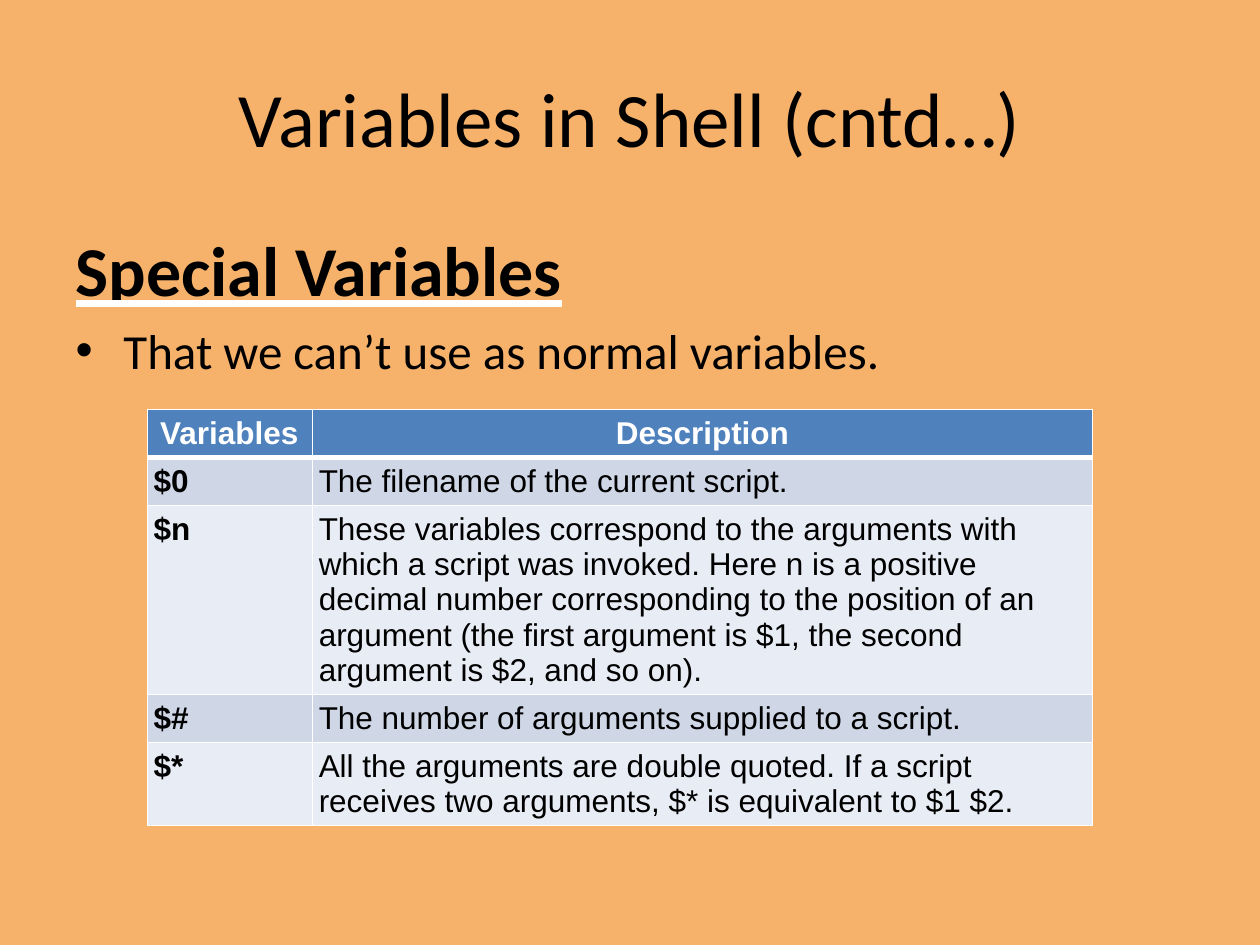
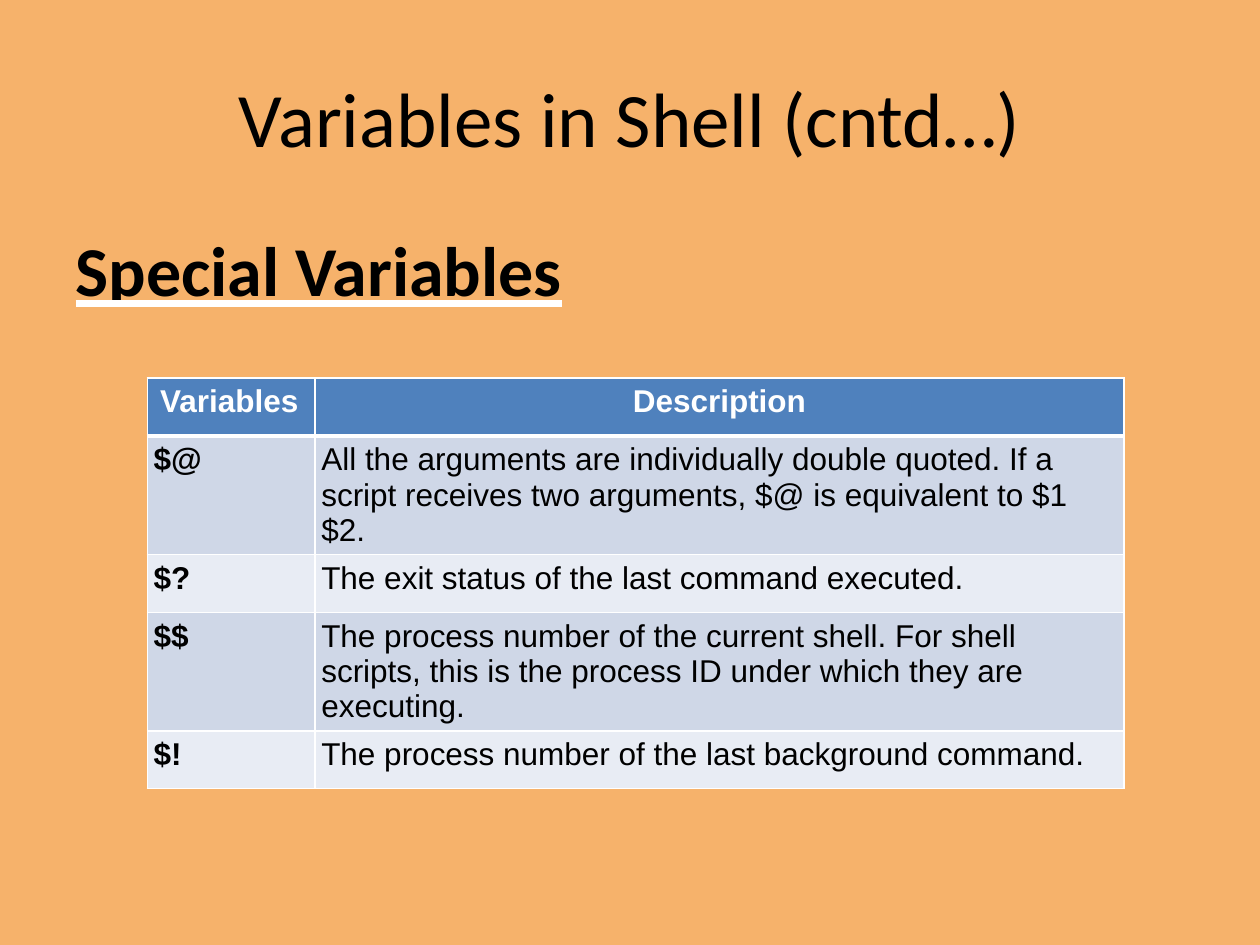
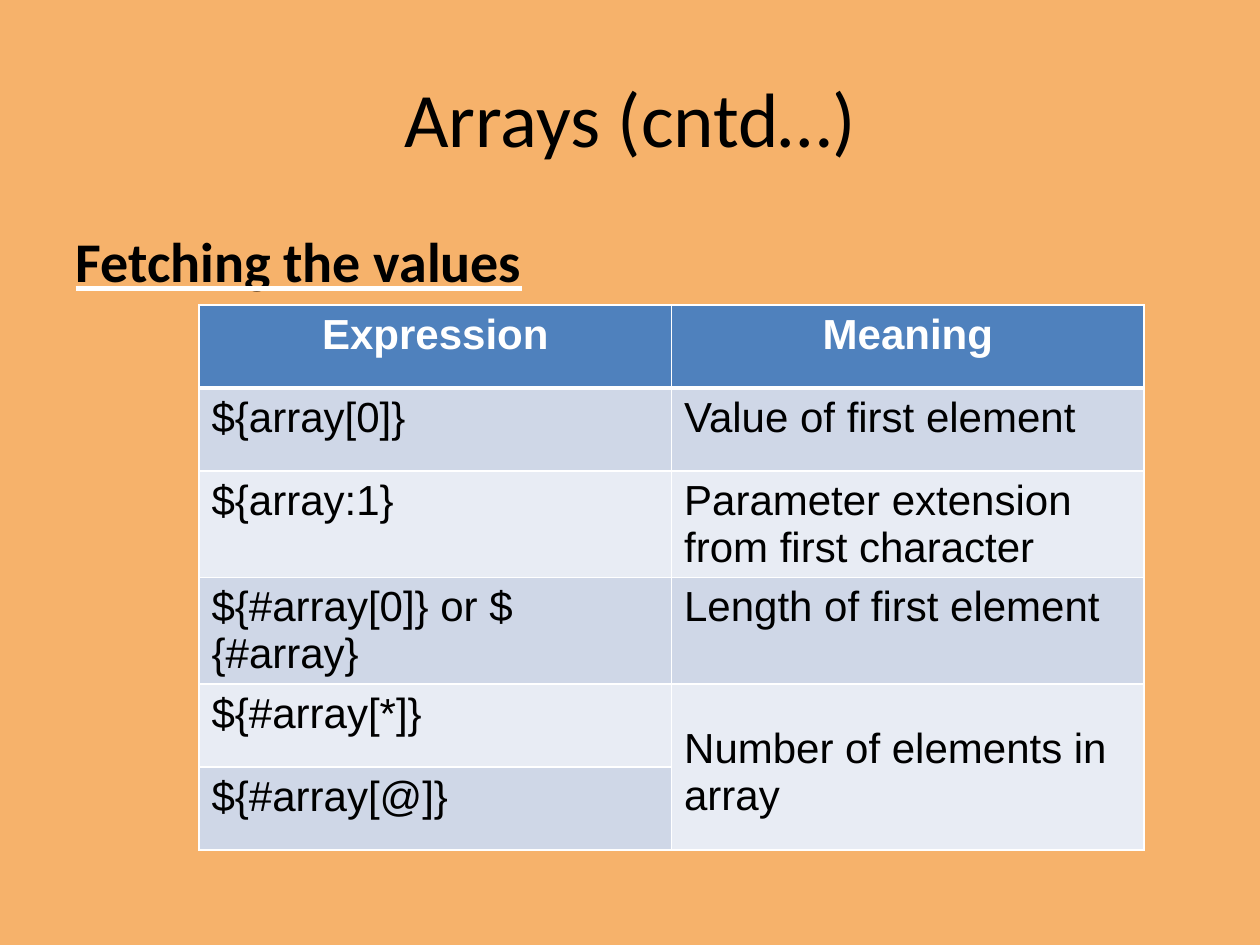
"""Build three slides on shell variables and arrays, each with a table."""
from dataclasses import dataclass

from lxml.etree import SubElement
from pptx import Presentation
from pptx.dml.color import RGBColor
from pptx.enum.text import MSO_ANCHOR as Anchor, MSO_AUTO_SIZE as AutoSize, PP_ALIGN as Align
from pptx.oxml import parse_xml
from pptx.oxml.ns import nsdecls, qn
from pptx.util import Inches, Pt

BACKGROUND = "F6B26B"
HEADER_FILL = "4F81BD"
BAND_FILLS = ("CFD7E7", "E8ECF4")
INK = "000000"
WHITE = "FFFFFF"
THIN, THICK = 0.96, 3
TITLE_AREA = (0.5, 0.3, 9, 1.25)
BODY_AREA = (0.5, 1.75, 9, 4.95)
TEXT_INDENT = 0.38


@dataclass(frozen=True)
class TableSpec:
    left: float
    top: float
    columns: tuple[float, ...]
    heights: tuple[float, ...]
    rows: tuple[tuple[str, ...], ...]
    size: float = 18
    inset: float | None = 0.05
    bold_keys: bool = True
    centred_headers: tuple[bool, ...] = (False, True)
    merged_rows: tuple[int, int] | None = None


@dataclass(frozen=True)
class SlideSpec:
    title: str
    heading: str
    table: TableSpec
    heading_size: float = 40
    bullets: tuple[str, ...] = ()


HEADERS = ("Variables", "Description")
SLIDES = (
    SlideSpec(
        "Variables in Shell (cntd…)", "Special Variables",
        TableSpec(1.17, 3.25, (1.31, 6.19), (0.38, 0.38, 1.49, 0.38, 0.66), (
            HEADERS,
            ("$0", "The filename of the current script."),
            ("$n", "These variables correspond to the arguments with which a script was "
                   "invoked. Here n is a positive decimal number corresponding to the "
                   "position of an argument (the first argument is $1, the second "
                   "argument is $2, and so on)."),
            ("$#", "The number of arguments supplied to a script."),
            ("$*", "All the arguments are double quoted. If a script receives two "
                   "arguments, $* is equivalent to $1 $2."),
        )),
        bullets=("That we can’t use as normal variables.",),
    ),
    SlideSpec(
        "Variables in Shell (cntd…)", "Special Variables",
        TableSpec(1.17, 3, (1.33, 6.42), (0.46, 0.93, 0.46, 0.93, 0.46), (
            HEADERS,
            ("$@", "All the arguments are individually double quoted. If a script "
                   "receives two arguments, $@ is equivalent to $1 $2."),
            ("$?", "The exit status of the last command executed."),
            ("$$", "The process number of the current shell. For shell scripts, this is "
                   "the process ID under which they are executing."),
            ("$!", "The process number of the last background command."),
        )),
    ),
    SlideSpec(
        "Arrays (cntd…)", "Fetching the values",
        TableSpec(1.58, 2.42, (3.75, 3.75), (0.66, 0.66, 0.84, 0.84, 0.66, 0.66), (
            ("Expression", "Meaning"),
            ("${array[0]}", "Value of first element"),
            ("${array:1}", "Parameter extension from first character"),
            ("${#array[0]} or ${#array}", "Length of first element"),
            ("${#array[*]}", "Number of elements in array"),
            ("${#array[@]}", ""),
        ), size=24, inset=None, bold_keys=False, centred_headers=(True, True),
            merged_rows=(4, 5)),
        heading_size=32,
    ),
)


def colour(value: str) -> RGBColor:
    """Turn a hex string into a colour."""
    return RGBColor.from_string(value)


def write(para, text: str, *, size: float, font: str = "Calibri", ink: str = INK,
          bold: bool = False, underline: str | None = None, align=Align.LEFT,
          before: float = 0) -> None:
    """Put one formatted run into a paragraph."""
    para.alignment = align
    para.space_before = Pt(before)
    span = para.add_run()
    span.text = text
    span.font.size = Pt(size)
    span.font.name = font
    span.font.bold = bold
    span.font.color.rgb = colour(ink)
    if underline:
        span.font.underline = True
        line_fill = parse_xml(
            f'<a:uFill {nsdecls("a")}><a:solidFill><a:srgbClr val="{underline}"/>'
            '</a:solidFill></a:uFill>')
        span.font._element.find(qn("a:latin")).addprevious(line_fill)


def indent(para, bullet: str | None = None) -> None:
    """Give a paragraph its hanging indent, with or without a bullet."""
    props = para._p.get_or_add_pPr()
    props.set("marL", str(Inches(TEXT_INDENT)))
    props.set("indent", str(-Inches(TEXT_INDENT)))
    if bullet:
        bullet_colour = SubElement(props, qn("a:buClr"))
        SubElement(bullet_colour, qn("a:srgbClr"), val=INK)
        SubElement(props, qn("a:buChar"), char=bullet)
    else:
        SubElement(props, qn("a:buNone"))


def place(box, area: tuple[float, ...], anchor) -> None:
    """Move a placeholder and fix how its text sits."""
    box.left, box.top, box.width, box.height = map(Inches, area)
    box.text_frame.word_wrap = True
    box.text_frame.auto_size = AutoSize.NONE
    box.text_frame.vertical_anchor = anchor


def set_borders(cell, top: float, bottom: float) -> None:
    """Draw white lines on all four sides of a cell."""
    props = cell._tc.get_or_add_tcPr()
    widths = {"lnL": THIN, "lnR": THIN, "lnT": top, "lnB": bottom}
    for position, (side, width) in enumerate(widths.items()):
        props.insert(position, parse_xml(
            f'<a:{side} {nsdecls("a")} w="{Pt(width)}"><a:solidFill>'
            f'<a:srgbClr val="{WHITE}"/></a:solidFill></a:{side}>'))


def add_table(slide, spec: TableSpec) -> None:
    """Add a table with a blue header and banded rows."""
    table = slide.shapes.add_table(
        len(spec.rows), len(spec.columns), Inches(spec.left), Inches(spec.top),
        Inches(sum(spec.columns)), Inches(sum(spec.heights))).table
    for column, width in zip(table.columns, spec.columns):
        column.width = Inches(width)
    for row, height in zip(table.rows, spec.heights):
        row.height = Inches(height)
    for row_index, texts in enumerate(spec.rows):
        header = row_index == 0
        for column_index, text in enumerate(texts):
            cell = table.cell(row_index, column_index)
            cell.fill.solid()
            cell.fill.fore_color.rgb = colour(
                HEADER_FILL if header else BAND_FILLS[(row_index - 1) % 2])
            set_borders(cell, THICK if row_index == 1 else THIN, THICK if header else THIN)
            if spec.inset and not header:
                cell.margin_left = cell.margin_right = Inches(spec.inset)
                cell.margin_top = cell.margin_bottom = Inches(spec.inset)
            if text:
                centred = header and spec.centred_headers[column_index]
                write(cell.text_frame.paragraphs[0], text, size=spec.size, font="Arial",
                      ink=WHITE if header else INK,
                      bold=header or (spec.bold_keys and column_index == 0),
                      align=Align.CENTER if centred else Align.LEFT)
    if spec.merged_rows:
        first, last = spec.merged_rows
        merged = table.cell(first, 1)
        merged.merge(table.cell(last, 1))
        merged.margin_top = Inches(0.33)


def add_slide(deck, spec: SlideSpec) -> None:
    """Add a slide with its title, heading, bullets and table."""
    slide = deck.slides.add_slide(deck.slide_layouts[1])
    title, body = slide.shapes.title, slide.placeholders[1]
    place(title, TITLE_AREA, Anchor.MIDDLE)
    write(title.text_frame.paragraphs[0], spec.title, size=44, align=Align.CENTER)
    place(body, BODY_AREA, Anchor.TOP)
    heading = body.text_frame.paragraphs[0]
    write(heading, spec.heading, size=spec.heading_size, bold=True, underline=WHITE)
    indent(heading)
    for text in spec.bullets:
        para = body.text_frame.add_paragraph()
        write(para, text, size=28, before=5.6)
        indent(para, "•")
    add_table(slide, spec.table)


def main() -> None:
    """Build the deck and save it."""
    deck = Presentation()
    deck.slide_width, deck.slide_height = Inches(10), Inches(7.5)
    fill = deck.slide_master.background.fill
    fill.solid()
    fill.fore_color.rgb = colour(BACKGROUND)
    for spec in SLIDES:
        add_slide(deck, spec)
    deck.save("out.pptx")


if __name__ == "__main__":
    main()
